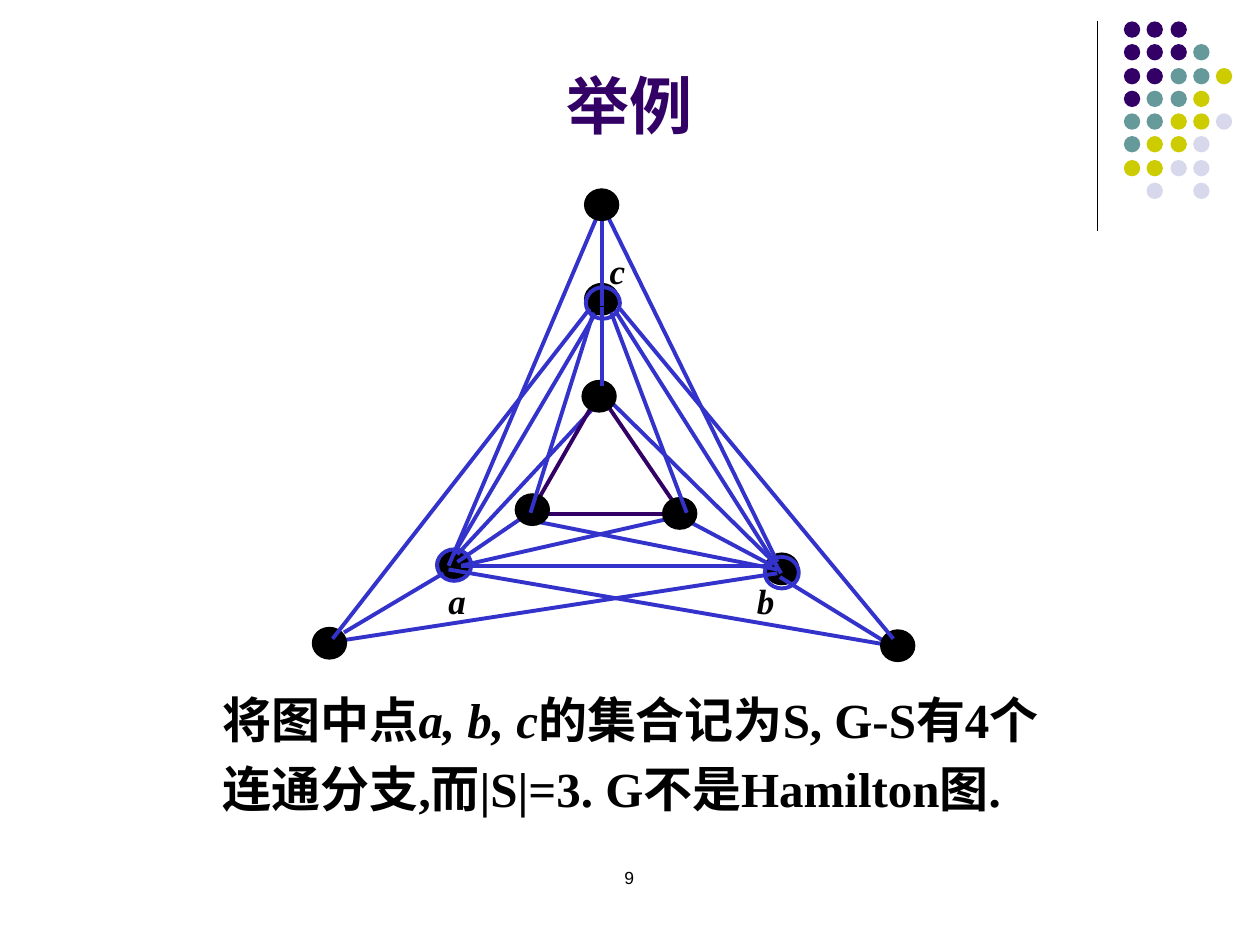
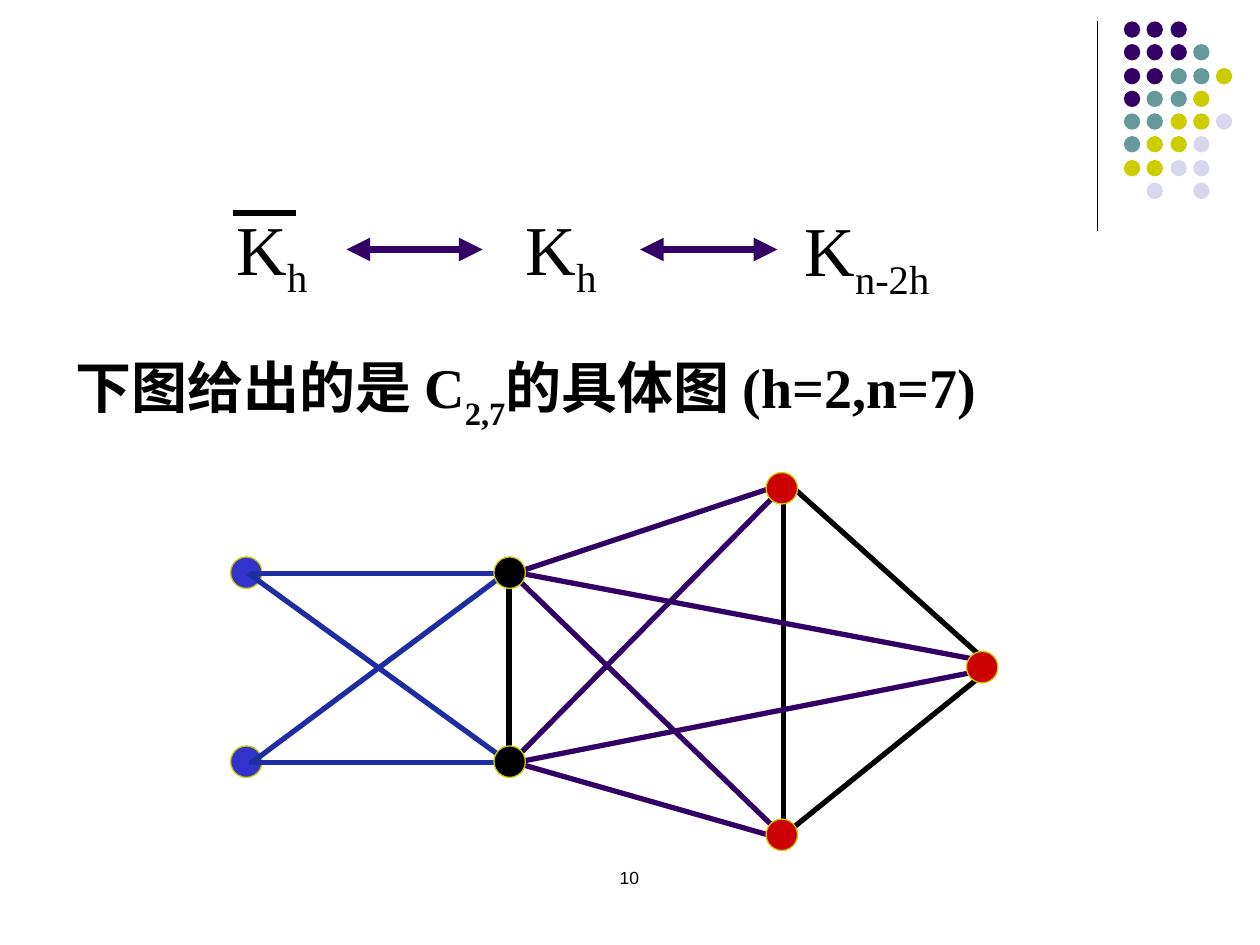
from dataclasses import dataclass

import pptx
import pptx.dml.color
import pptx.enum.shapes
import pptx.enum.text
import pptx.oxml
import pptx.oxml.ns
import pptx.util

EMU_PER_PX = 9144  # 100 px to the inch
LEFT = pptx.enum.text.PP_ALIGN.LEFT
CENTER = pptx.enum.text.PP_ALIGN.CENTER


@dataclass(frozen=True)
class Theme:
    purple: str = "330066"
    teal: str = "669999"
    olive: str = "CCCC00"
    lavender: str = "D8D8EC"
    blue: str = "3333CC"
    navy: str = "1E2EA2"
    red: str = "CC0000"
    black: str = "000000"
    heading_font: str = "Arial"
    body_font: str = "Times New Roman"
    title_size: int = 36
    body_size: int = 28
    caption_size: int = 32
    formula_size: int = 40
    label_size: int = 20
    number_size: int = 10


theme = Theme()


def add_line(slide, ends, color, width, arrows=False):
    """Draw a straight line between ends (x1, y1, x2, y2), optionally with two arrowheads."""
    points = [value * EMU_PER_PX for value in ends]
    line = slide.shapes.add_connector(pptx.enum.shapes.MSO_CONNECTOR.STRAIGHT, *points)
    line.line.color.rgb = pptx.dml.color.RGBColor.from_string(color)
    line.line.width = pptx.util.Pt(width)
    properties = line._element.spPr
    if arrows:
        outline = line.line._get_or_add_ln()
        for tag in ("a:headEnd", "a:tailEnd"):
            outline.append(pptx.oxml.parse_xml(
                f'<{tag} {pptx.oxml.ns.nsdecls("a")} type="triangle"/>'))
    properties.append(pptx.oxml.parse_xml(f'<a:effectLst {pptx.oxml.ns.nsdecls("a")}/>'))


def add_disc(slide, box, fill=None, outline=None, width=0.75):
    """Draw an ellipse; without a fill it is a ring."""
    disc = slide.shapes.add_shape(pptx.enum.shapes.MSO_SHAPE.OVAL,
                                  *[value * EMU_PER_PX for value in box])
    disc.shadow.inherit = False
    if fill:
        disc.fill.solid()
        disc.fill.fore_color.rgb = pptx.dml.color.RGBColor.from_string(fill)
    else:
        disc.fill.background()
    if outline:
        disc.line.color.rgb = pptx.dml.color.RGBColor.from_string(outline)
        disc.line.width = pptx.util.Pt(width)
    else:
        disc.line.fill.background()


presentation = pptx.Presentation()
presentation.slide_width = 1000 * EMU_PER_PX
presentation.slide_height = 750 * EMU_PER_PX
blank_layout = presentation.slide_layouts[6]
example_slide = presentation.slides.add_slide(blank_layout)
family_slide = presentation.slides.add_slide(blank_layout)

# Corner ornament shared by both slides
DOT_ROWS = ("PPP", "PPPT", "PPTTY", "PTTY", "TTYYL", "TYYL", "YYLL", " L L")
DOT_COLORS = {"P": theme.purple, "T": theme.teal, "Y": theme.olive, "L": theme.lavender}
for slide in (example_slide, family_slide):
    add_line(slide, (871, 17, 871, 183), theme.black, 0.75)
    for row, letters in enumerate(DOT_ROWS):
        for column, letter in enumerate(letters):
            if letter in DOT_COLORS:
                left, top = round(892 + 18.3 * column), round(17 + 18.3 * row)
                add_disc(slide, (left, top, 13, 13), DOT_COLORS[letter])

# Slide 1: graph, hub vertices a, b, c with their edges and the inner triangle
NODE = (27, 25)
layers = [
    {"hub": (346, 436), "ring": (347, 436), "color": theme.blue, "nodes": [],
     "edges": [(366, 449, 630, 449), (476, 167, 356, 449), (476, 243, 360, 440),
               (356, 452, 717, 514), (423, 405, 363, 446), (352, 455, 273, 502),
               (366, 449, 547, 408), (363, 440, 483, 311)]},
    {"hub": (607, 439), "ring": (607, 442), "color": theme.blue, "nodes": [],
     "edges": [(480, 167, 617, 446), (486, 243, 620, 455), (619, 458, 710, 514),
               (547, 414, 613, 449), (426, 414, 617, 452), (273, 508, 617, 455),
               (486, 320, 617, 449)]},
    {"hub": None, "ring": None, "color": theme.purple,
     "nodes": [(248, 498), (409, 392), (464, 150), (462, 302), (526, 395), (699, 500)],
     "edges": [(429, 408, 529, 408), (471, 320, 424, 402), (481, 320, 541, 408)]},
    {"hub": (464, 225), "ring": (465, 228), "color": theme.blue, "nodes": [],
     "edges": [(478, 175, 478, 243), (478, 244, 478, 306), (471, 248, 421, 407),
               (485, 248, 545, 407), (492, 245, 709, 507), (468, 245, 264, 507)]},
]
for layer in layers:
    if layer["hub"]:
        add_disc(example_slide, layer["hub"] + NODE, theme.black, theme.black)
    for edge in layer["edges"]:
        add_line(example_slide, edge, layer["color"], 2.25)
    for node in layer["nodes"]:
        add_disc(example_slide, node + NODE, theme.black, theme.black)
    if layer["ring"]:
        add_disc(example_slide, layer["ring"] + NODE, None, theme.blue, 2.25)

# Slide 2: the graph C 2,7
outer_nodes = [(183, 442), (183, 592)]
middle_nodes = [(392, 442), (392, 592)]
right_nodes = [(608, 375), (608, 650), (767, 517)]
family_edges = {
    theme.black: [(622, 390, 622, 667), (625, 383, 783, 525), (617, 667, 783, 533),
                  (404, 452, 404, 610)],
    theme.navy: [(198, 455, 398, 455), (200, 605, 408, 450),
                 (198, 605, 398, 605), (197, 455, 408, 608)],
    theme.purple: [(408, 455, 625, 383), (405, 454, 625, 667), (408, 454, 783, 525),
                   (408, 605, 625, 667), (406, 605, 625, 383), (410, 605, 775, 533)],
}
for node in outer_nodes:
    add_disc(family_slide, node + (25, 25), theme.blue, theme.olive)
for color, edges in family_edges.items():
    for edge in edges:
        add_line(family_slide, edge, color, 3)
for nodes, color in ((middle_nodes, theme.black), (right_nodes, theme.red)):
    for node in nodes:
        add_disc(family_slide, node + (25, 25), color, theme.olive)

for arrow in ((275, 198, 383, 198), (508, 198, 617, 198)):
    add_line(family_slide, arrow, theme.purple, 4.5, arrows=True)
complement_bar = (185, 169, 235, 169)
add_line(family_slide, complement_bar, theme.black, 3)

# All text: slide, box, size, alignment, styles, then runs of (text, run styles)
body = {"bold": True}
label = {"bold": True, "italic": True, "wrap": False}
heading = {"bold": True, "font": theme.heading_font, "color": theme.purple,
           "anchor": pptx.enum.text.MSO_ANCHOR.BOTTOM}
number = {"font": theme.heading_font}
subscript = {"baseline": -25000}
NUMBER_BOX = (383, 683, 233, 50)
texts = [
    (example_slide, (0, 53, 1000, 65), theme.title_size, CENTER, heading, [("举例", {})]),
    (example_slide, (167, 542, 692, 133), theme.body_size, LEFT, body,
     [("将图中点", {}), ("a, b, c", {"italic": True}),
      ("的集合记为S, G-S有4个连通分支,而|S|=3. G不是Hamilton图.", {}),
      (" ", {"size": 34})]),
    (example_slide, (346, 455, 37, 40), theme.label_size, LEFT, label, [("a", {})]),
    (example_slide, (591, 455, 37, 40), theme.label_size, LEFT, label, [("b", {})]),
    (example_slide, (474, 193, 38, 31), theme.label_size, LEFT, label, [("c", {})]),
    (example_slide, NUMBER_BOX, theme.number_size, CENTER, number, [("9", {})]),
    (family_slide, (50, 275, 950, 64), theme.caption_size, LEFT, body,
     [("下图给出的是 C", {}), ("2,7", {"baseline": -30000}), ("的具体图 (h=2,n=7)", {})]),
    (family_slide, (178, 158, 97, 77), theme.formula_size, LEFT, {},
     [("K", {}), ("h", subscript)]),
    (family_slide, (383, 158, 125, 77), theme.formula_size, CENTER, {},
     [("K", {}), ("h", subscript)]),
    (family_slide, (617, 159, 142, 77), theme.formula_size, CENTER, {},
     [("K", {}), ("n-2h", subscript)]),
    (family_slide, NUMBER_BOX, theme.number_size, CENTER, number, [("10", {})]),
]
for slide, box, size, alignment, style, runs in texts:
    text_box = slide.shapes.add_textbox(*[value * EMU_PER_PX for value in box])
    text_frame = text_box.text_frame
    text_frame.word_wrap = style.get("wrap", True)
    text_frame.vertical_anchor = style.get("anchor", pptx.enum.text.MSO_ANCHOR.TOP)
    paragraph = text_frame.paragraphs[0]
    paragraph.alignment = alignment
    for text, run_style in runs:
        look = {**style, **run_style}
        run = paragraph.add_run()
        run.text = text
        run.font.name = look.get("font", theme.body_font)
        run.font.size = pptx.util.Pt(look.get("size", size))
        run.font.bold = look.get("bold", False)
        run.font.italic = look.get("italic", False)
        run.font.color.rgb = pptx.dml.color.RGBColor.from_string(
            look.get("color", theme.black))
        if "baseline" in look:
            run.font._element.set("baseline", str(look["baseline"]))

presentation.save("out.pptx")
